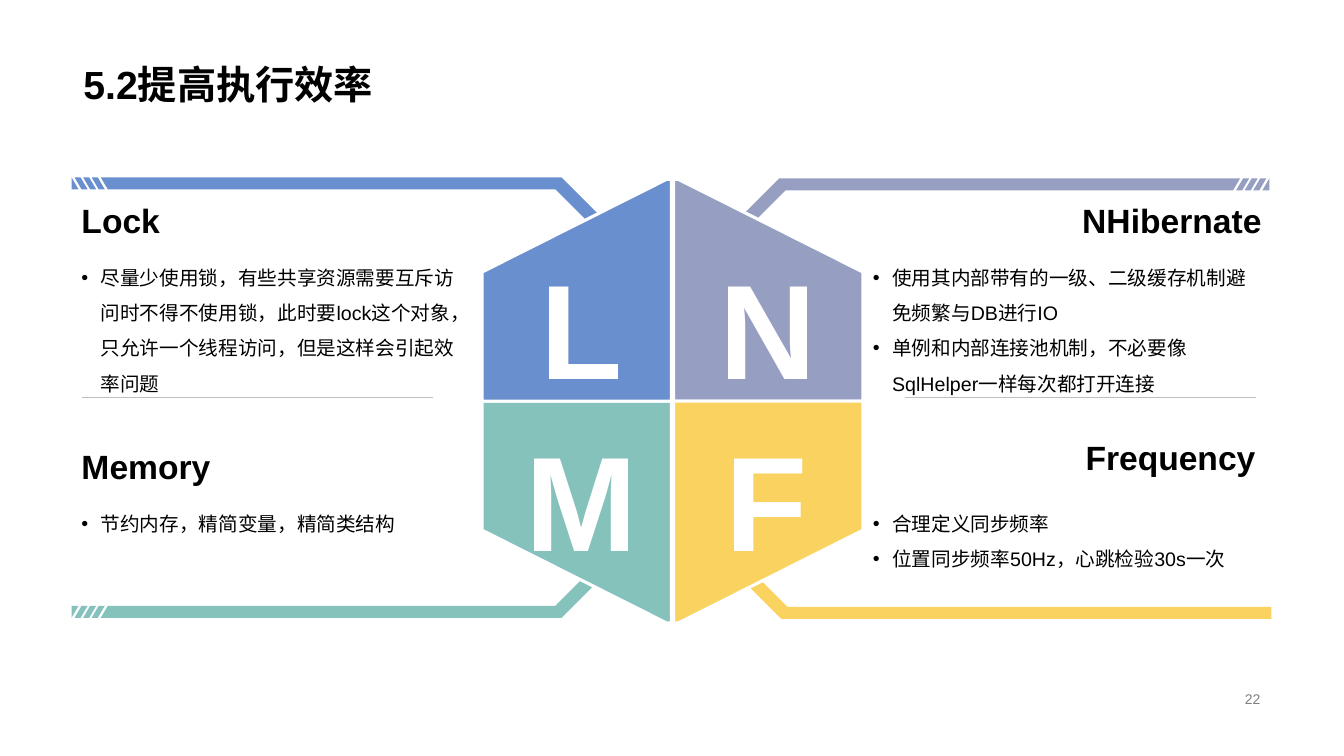
from lxml import etree
from pptx import Presentation
from pptx.dml.color import RGBColor
from pptx.enum.lang import MSO_LANGUAGE_ID
from pptx.enum.shapes import MSO_CONNECTOR
from pptx.enum.text import MSO_ANCHOR, PP_ALIGN
from pptx.oxml.ns import qn
from pptx.util import Inches, Pt

LEFT, CENTER, RIGHT = PP_ALIGN.LEFT, PP_ALIGN.CENTER, PP_ALIGN.RIGHT
TOP, MIDDLE, BOTTOM = MSO_ANCHOR.TOP, MSO_ANCHOR.MIDDLE, MSO_ANCHOR.BOTTOM
STRAIGHT = MSO_CONNECTOR.STRAIGHT
CHINESE = MSO_LANGUAGE_ID.SIMPLIFIED_CHINESE
FONT = "Arial"

BLACK = RGBColor(0x00, 0x00, 0x00)
WHITE = RGBColor(0xFF, 0xFF, 0xFF)
GRAY = RGBColor(0x80, 0x80, 0x80)
RULE_GRAY = RGBColor(0xBF, 0xBF, 0xBF)
BLUE = RGBColor(0x69, 0x8F, 0xCE)
LAVENDER = RGBColor(0x96, 0x9E, 0xC2)
TEAL = RGBColor(0x85, 0xC2, 0xBC)
YELLOW = RGBColor(0xFA, 0xD2, 0x5F)

BAND_SIZE = (5.96, 2.2)
QUARTER_SIZE = (1.88, 2.2)

# Outlines are drawn for the upper left and mirrored for the other corners.
QUARTER = [(1.88, 2.2), (0, 2.2), (0, 0.92), (1.83, 0), (1.88, 0)]
BAND_TURN = [(4.86, 0), (5.96, 1.1), (5.96, 2.2), (5.85, 2.2), (5.85, 1.17), (4.8, 0.12)]
SOLID_BAND = [[(0, 0), *BAND_TURN, (0, 0.12)]]
STRIPES = [[(x, 0), (x + 0.06, 0), (x + 0.13, 0.12), (x + 0.07, 0.12)]
           for x in (0.2, 0.115, 0.03)]
STRIPED_BAND = [[(0.29, 0), *BAND_TURN, (0.36, 0.12)], *STRIPES,
                [(0, 0), (0.07, 0.12), (0, 0.12)]]


def add_text(slide, box, paragraphs, size, color=BLACK, bold=False,
             align=LEFT, anchor=TOP, top_inset=0.05):
    """Add a text box and return its text frame."""
    text_frame = slide.shapes.add_textbox(*map(Inches, box)).text_frame
    text_frame.word_wrap = True
    text_frame.vertical_anchor = anchor
    text_frame.margin_top = Inches(top_inset)
    text_frame.text = "\n".join(paragraphs)
    for paragraph in text_frame.paragraphs:
        paragraph.alignment = align
        for run in paragraph.runs:
            font = run.font
            font.name, font.size, font.bold = FONT, Pt(size), bold
            font.color.rgb = color
            font.language_id = CHINESE
    return text_frame


def add_outline(slide, box, contours, color, flip_x, flip_y):
    """Fill closed contours, mirrored inside the box when asked."""
    left, top, width, height = box

    def place(point):
        x, y = point
        return (Inches(left + (width - x if flip_x else x)),
                Inches(top + (height - y if flip_y else y)))

    builder = None
    for contour in contours:
        start, *others = map(place, contour)
        if builder is None:
            builder = slide.shapes.build_freeform(*start, scale=1.0)
        else:
            builder.move_to(*start)
        builder.add_line_segments(others, close=True)
    shape = builder.convert_to_shape()
    shape.shadow.inherit = False
    shape.fill.solid()
    shape.fill.fore_color.rgb = color
    shape.line.fill.background()
    return shape


def add_quarter(slide, box, color, flip_x, flip_y):
    """Add one white-edged quarter of the hexagon."""
    shape = add_outline(slide, box, [QUARTER], color, flip_x, flip_y)
    shape.line.color.rgb = WHITE
    shape.line.width = Pt(2.25)


def add_topic(slide, box, heading, bullets, align, heading_shift):
    """Add a heading with bulleted text below it."""
    left, top, width, height = box
    shift_x, shift_y = heading_shift
    heading_height = 0.57
    add_text(slide, (left, top + heading_height, width, height - heading_height),
             bullets, 14)
    body = slide.shapes[-1].text_frame
    for paragraph in body.paragraphs:
        paragraph.line_spacing = 1.5
        properties = paragraph._p.get_or_add_pPr()
        properties.set("marL", str(Inches(0.19)))
        properties.set("indent", str(Inches(-0.19)))
        etree.SubElement(properties, qn("a:buFont")).set("typeface", FONT)
        etree.SubElement(properties, qn("a:buChar")).set("char", "•")
    add_text(slide, (left + shift_x, top + shift_y, width, heading_height),
             [heading], 24, bold=True, align=align, anchor=MIDDLE)


def add_rule(slide, left, top, width):
    """Add a thin gray rule."""
    rule = slide.shapes.add_connector(
        STRAIGHT, Inches(left), Inches(top), Inches(left + width), Inches(top))
    rule.line.color.rgb = RULE_GRAY
    rule.line.width = Pt(0.25)
    etree.SubElement(rule._element.spPr, qn("a:effectLst"))


def build_efficiency_slide(slide, box):
    """Place title, bands, hexagon, topics and page number in the box."""
    left, top, width, height = box
    add_text(slide, (left + 0.73, top, 11.87, 1.12), ["5.2提高执行效率"], 28,
             bold=True, anchor=BOTTOM)
    slide.shapes[-1].text_frame.paragraphs[0].line_spacing = 0.9
    add_text(slide, (left + width - 3.91, top + height - 0.68, 3.18, 0.23), ["22"], 10,
             GRAY, align=RIGHT, anchor=MIDDLE)

    # Colour, flips, band place, band contours
    corners = [
        (TEAL, False, True, (0.71, 3.93), STRIPED_BAND),
        (LAVENDER, True, False, (6.63, 1.77), STRIPED_BAND),
        (YELLOW, True, True, (6.65, 3.94), SOLID_BAND),
        (BLUE, False, False, (0.71, 1.76), STRIPED_BAND),
    ]
    for color, flip_x, flip_y, (x, y), contours in corners:
        add_outline(slide, (left + x, top + y, *BAND_SIZE), contours, color, flip_x, flip_y)
    for color, flip_x, flip_y, _, _ in corners:
        x, y = (6.68 if flip_x else 4.78), (3.98 if flip_y else 1.78)
        add_quarter(slide, (left + x, top + y, *QUARTER_SIZE), color, flip_x, flip_y)

    for letter, x, y, letter_width in [("L", 4.78, 2.27, 1.98), ("M", 4.78, 3.98, 1.98),
                                       ("N", 6.88, 2.27, 1.48), ("F", 6.7, 3.98, 1.81)]:
        add_text(slide, (left + x, top + y, letter_width, 1.93), [letter], 96, WHITE,
                 bold=True, align=CENTER, top_inset=0.16)

    topics = [
        ("Lock", 0.71, 1.9, LEFT, (0, 0),
         ["尽量少使用锁,有些共享资源需要互斥访问时不得不使用锁,此时要lock这个对象,"
          "只允许一个线程访问,但是这样会引起效率问题"]),
        ("Memory", 0.71, 4.34, LEFT, (0, 0), ["节约内存,精简变量,精简类结构"]),
        ("NHibernate", 8.56, 1.9, RIGHT, (0, 0),
         ["使用其内部带有的一级、二级缓存机制避免频繁与DB进行IO",
          "单例和内部连接池机制,不必要像SqlHelper一样每次都打开连接"]),
        ("Frequency", 8.56, 4.34, RIGHT, (-0.06, -0.09),
         ["合理定义同步频率", "位置同步频率50Hz,心跳检验30s一次"]),
    ]
    for heading, x, y, align, shift, bullets in topics:
        bullets = [bullet.replace(",", "\uff0c") for bullet in bullets]
        add_topic(slide, (left + x, top + y, 4.05, 1.57), heading, bullets, align, shift)
    for x in (0.81, 8.98):
        add_rule(slide, left + x, top + 3.94, 3.48)


presentation = Presentation()
presentation.slide_width = Inches(13.33)
presentation.slide_height = Inches(7.5)
blank_slide = presentation.slides.add_slide(presentation.slide_layouts[6])
build_efficiency_slide(blank_slide, (0, 0, 13.33, 7.5))
presentation.save("out.pptx")
